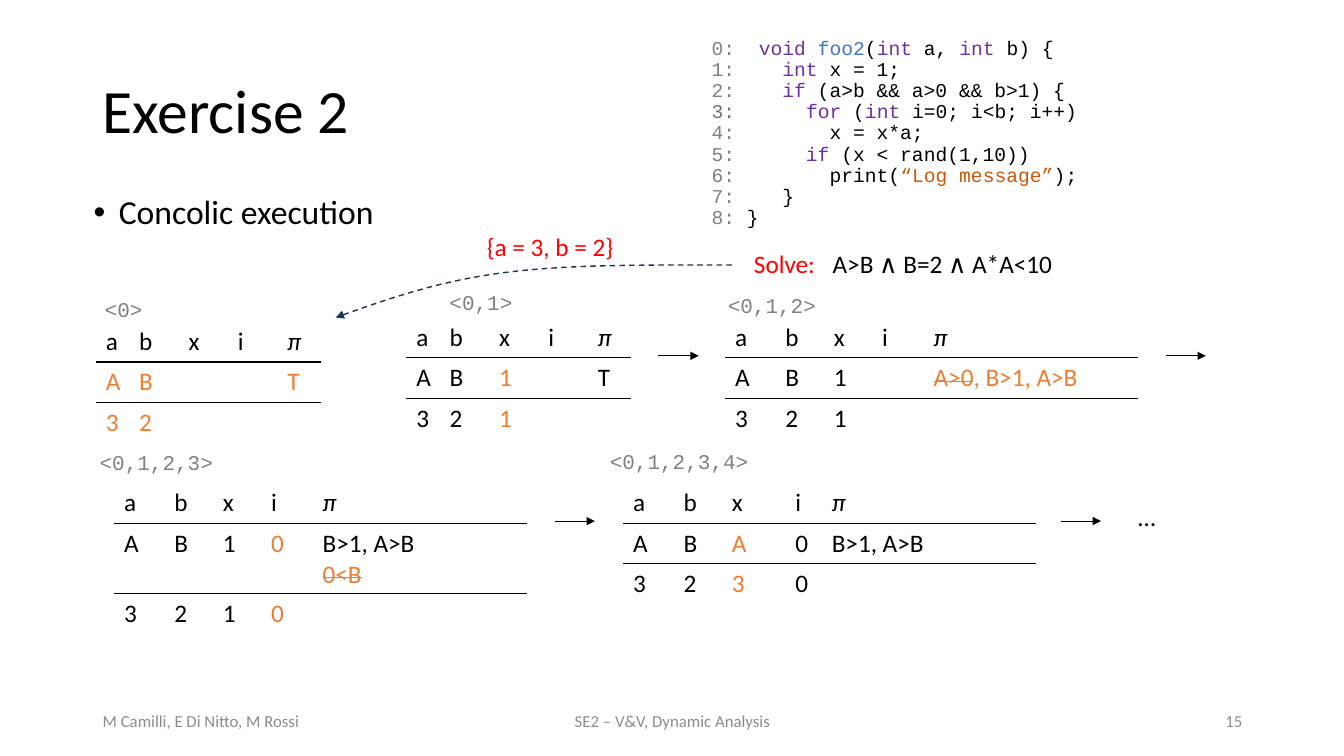
from lxml import etree
from pptx import Presentation
from pptx.dml.color import RGBColor
from pptx.enum.dml import MSO_LINE
from pptx.enum.shapes import MSO_CONNECTOR
from pptx.enum.text import MSO_ANCHOR, PP_ALIGN
from pptx.oxml.ns import qn
from pptx.util import Inches, Pt

TOP, MIDDLE = MSO_ANCHOR.TOP, MSO_ANCHOR.MIDDLE
LEFT, CENTER, RIGHT = PP_ALIGN.LEFT, PP_ALIGN.CENTER, PP_ALIGN.RIGHT
STRAIGHT = MSO_CONNECTOR.STRAIGHT
DASH = MSO_LINE.DASH
SANS, MONO = "Calibri", "Courier New"
NO_STYLE = "{2D5ABB26-0587-4C30-8999-92F81FD0307C}"
COLOURS = {
    "text": "000000", "footer": "8C8C8C", "label": "808080", "number3": "767171",
    "keyword": "7030A0", "function": "4472C4", "string": "C55A11",
    "solve": "FF0000", "changed": "ED7D31", "struck": "ED7D31", "curve": "1E3256",
}
ROW_HEIGHT, LINE_HEIGHT = 0.4, 0.3
BREAK = ("\n", "text")
CODE = [
    [("0:  ", "label"), ("void ", "keyword"), ("foo2", "function"), ("(", "text"),
     ("int", "keyword"), (" a, ", "text"), ("int", "keyword"), (" b) {", "text")],
    [("1:    ", "label"), ("int", "keyword"), (" x = 1;", "text")],
    [("2:    ", "label"), ("if", "keyword"), (" (a>b && a>0 && b>1) {", "text")],
    [("3:      ", "number3"), ("for", "keyword"), (" (", "text"), ("int ", "keyword"),
     ("i=0; i<b; i++)", "text")],
    [("4:        ", "label"), ("x = x*a;", "text")],
    [("5:    ", "label"), ("  if", "keyword"), (" (x < rand(1,10))", "text")],
    [("6:        ", "label"), ("print(", "text"), ("“Log message”", "string"), (");", "text")],
    [("7:    ", "label"), ("}", "text")],
    [("8:", "label"), (" }", "text")],
]
NARROW = (0.33, 0.49, 0.49, 0.49, 0.43)
WIDE = (0.5, 0.48, 0.48, 0.51, 2.13)
SHIFTED = (0.5, 0.48, 0.63, 0.36, 2.13)


def new(text):
    return [(text, "changed")]


STATES = [
    ("<0>", (0.94, 2.89), (0.95, 3.19), NARROW,
     [new("A"), new("B"), "", "", new("T")], [new("3"), new("2"), "", "", ""]),
    ("<0,1>", (4.36, 2.82), (4.03, 3.15), NARROW,
     ["A", "B", new("1"), "", "T"], ["3", "2", new("1"), "", ""]),
    ("<0,1,2>", (7.12, 2.85), (7.19, 3.15), WIDE,
     ["A", "B", "1", "", [("A>0", "struck"), (", B>1, A>B", "changed")]],
     ["3", "2", "1", "", ""]),
    ("<0,1,2,3>", (0.89, 4.41), (1.13, 4.79), WIDE,
     ["A", "B", "1", new("0"), [("B>1, A>B", "text"), BREAK, ("0<B", "struck")]],
     ["3", "2", "1", new("0"), ""]),
    ("<0,1,2,3,4>", (5.95, 4.4), (6.18, 4.79), SHIFTED,
     ["A", "B", new("A"), "0", "B>1, A>B"], ["3", "2", new("3"), "0", ""]),
]
ARROWS = [(6.53, 3.53), (11.56, 3.53), (5.5, 5.17), (10.52, 5.17)]
CURVE = [
    [(7.26, 2.63), (6.44, 2.63), (5.61, 2.62), (4.96, 2.71)],
    [(4.96, 2.71), (4.3, 2.8), (3.81, 2.98), (3.33, 3.15)],
]


def colour(name):
    return RGBColor.from_string(COLOURS[name])


def write(para, spans, size, font=SANS):
    para.font.size, para.font.name = Pt(size), font
    styles = {style for _, style in spans}
    if len(styles) == 1:
        para.font.color.rgb = colour(spans[0][1])
    for text, style in spans:
        if text == "\n":
            para.add_line_break()
            continue
        span = para.add_run()
        span.text = text
        if len(styles) > 1:
            span.font.color.rgb = colour(style)
        if style == "struck":
            span._r.get_or_add_rPr().set("strike", "sngStrike")


def add_text(page, at, lines, size, font=SANS, anchor=TOP, align=LEFT, spacing=None,
             bullet=False, wrap=True):
    frame = page.shapes.add_textbox(*map(Inches, at)).text_frame
    frame.word_wrap, frame.vertical_anchor = wrap, anchor
    for index, spans in enumerate(lines):
        para = frame.add_paragraph() if index else frame.paragraphs[0]
        para.alignment = align
        if spacing:
            para.line_spacing = spacing
        if bullet:
            props = para._p.get_or_add_pPr()
            props.set("marL", str(Inches(0.25)))
            props.set("indent", str(-Inches(0.25)))
            etree.SubElement(props, qn("a:buFont")).set("typeface", "Arial")
            etree.SubElement(props, qn("a:buChar")).set("char", "•")
        write(para, spans, size, font)


def add_heading(page, left, top):
    add_text(page, (left, top, 11.5, 1.45), [[("Exercise 2", "text")]], 44,
             anchor=MIDDLE, spacing=0.9)
    add_text(page, (left - 0.09, top + 1.49, 11.5, 0.64), [[("Concolic execution", "text")]],
             24, spacing=0.9, bullet=True)


def add_footer(page, left, top):
    for offset, width, text, align in (
            (0, 3, "M Camilli, E Di Nitto, M Rossi", LEFT),
            (3.5, 4.5, "SE2 – V&V, Dynamic Analysis", CENTER),
            (8.5, 3, "15", RIGHT)):
        add_text(page, (left + offset, top, width, 0.4), [[(text, "footer")]], 12,
                 anchor=MIDDLE, align=align)


def add_border(cell, side):
    line = etree.SubElement(cell._tc.get_or_add_tcPr(), qn("a:" + side), w=str(Pt(1)))
    fill = etree.SubElement(line, qn("a:solidFill"))
    etree.SubElement(fill, qn("a:srgbClr")).set("val", COLOURS["text"])


def add_state(page, label, label_at, table_at, widths, symbolic, concrete):
    add_text(page, (*label_at, 2, 0.35), [[(label, "label")]], 15, MONO)
    rows = [list("abxiπ"), symbolic, concrete]
    heights = [ROW_HEIGHT + LINE_HEIGHT * any(BREAK in list(value) for value in row)
               for row in rows]
    size = (sum(widths), sum(heights))
    table = page.shapes.add_table(3, 5, *map(Inches, table_at + size)).table
    table.first_row = table.horz_banding = False
    table._tbl.tblPr.find(qn("a:tableStyleId")).text = NO_STYLE
    for column, width in zip(table.columns, widths):
        column.width = Inches(width)
    for index, row in enumerate(rows):
        table.rows[index].height = Inches(heights[index])
        for column, value in enumerate(row):
            cell = table.cell(index, column)
            if index > 0:
                add_border(cell, "lnT")
            if index < 2:
                add_border(cell, "lnB")
            cell.fill.background()
            para = cell.text_frame.paragraphs[0]
            spans = [(value, "text")] if isinstance(value, str) else value
            write(para, spans if value else [], 18)
            if value == "π":
                para.font.italic = True


def add_head(line):
    etree.SubElement(line._get_or_add_ln(), qn("a:tailEnd")).set("type", "triangle")


def add_arrow(page, left, top):
    arrow = page.shapes.add_connector(STRAIGHT, Inches(left), Inches(top),
                                      Inches(left + 0.4), Inches(top))
    arrow.line.color.rgb, arrow.line.width = colour("text"), Pt(0.5)
    add_head(arrow.line)
    etree.SubElement(arrow._element.spPr, qn("a:effectLst"))


def bezier(controls, t):
    weights = ((1 - t) ** 3, 3 * t * (1 - t) ** 2, 3 * t ** 2 * (1 - t), t ** 3)
    return tuple(Inches(sum(w * point[axis] for w, point in zip(weights, controls)))
                 for axis in (0, 1))


def add_solver(page, left, top):
    for offset, width, text, style in ((0, 1, "Solve:", "solve"),
                                       (0.78, 3.71, "A>B ∧ B=2 ∧ A*A<10", "text")):
        add_text(page, (left + offset, top, width, 0.4), [[(text, style)]], 18)
    add_text(page, (left - 2.65, top - 0.16, 1.64, 0.4), [[("{a = 3, b = 2}", "solve")]], 18)
    points = [bezier(part, step / 10) for part in CURVE for step in range(1, 11)]
    builder = page.shapes.build_freeform(*bezier(CURVE[0], 0))
    builder.add_line_segments(points, close=False)
    curve = builder.convert_to_shape()
    curve.shadow.inherit = False
    curve.fill.background()
    curve.line.color.rgb, curve.line.width = colour("curve"), Pt(1)
    curve.line.dash_style = DASH
    add_head(curve.line)


def main():
    deck = Presentation()
    deck.slide_width, deck.slide_height = Inches(13.33), Inches(7.5)
    page = deck.slides.add_slide(deck.slide_layouts[6])
    add_heading(page, 0.92, 0.4)
    add_footer(page, 0.92, 6.95)
    add_text(page, (6.96, 0.33, 5.3, 2.07), CODE, 14, MONO, spacing=0.9)
    add_solver(page, 7.38, 2.41)
    for state in STATES:
        add_state(page, *state)
    for left, top in ARROWS:
        add_arrow(page, left, top)
    add_text(page, (11.19, 4.92, 0.38, 0.4), [[("…", "text")]], 18, wrap=False)
    deck.save("out.pptx")


if __name__ == "__main__":
    main()
